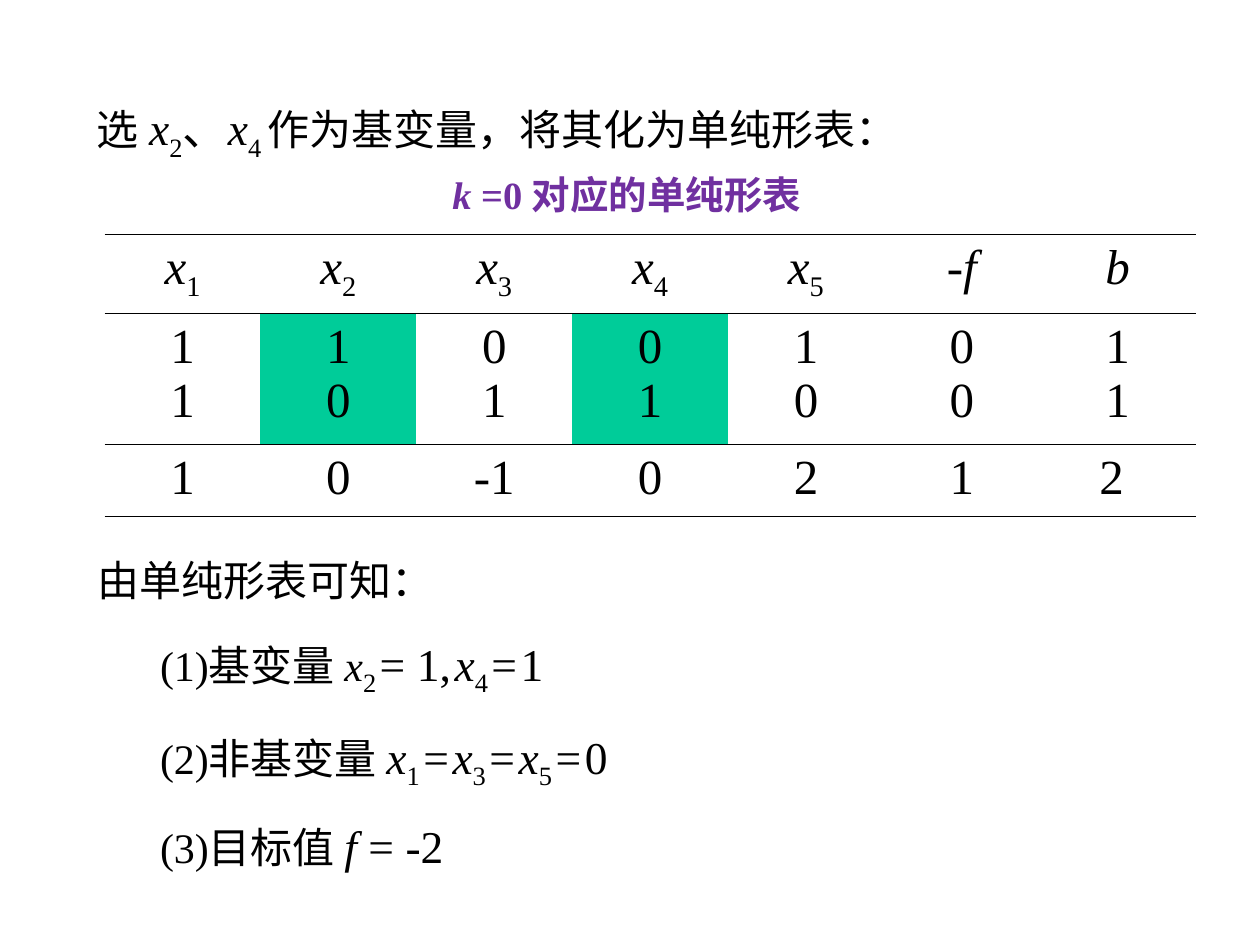
from dataclasses import dataclass

from lxml import etree
from pptx import Presentation
from pptx.dml.color import RGBColor
from pptx.enum.text import MSO_ANCHOR, MSO_AUTO_SIZE, PP_ALIGN
from pptx.oxml.ns import qn
from pptx.util import Inches, Pt

LEFT, CENTER, JUSTIFY = PP_ALIGN.LEFT, PP_ALIGN.CENTER, PP_ALIGN.JUSTIFY
TOP = MSO_ANCHOR.TOP
NO_AUTOFIT = MSO_AUTO_SIZE.NONE


@dataclass(frozen=True)
class Theme:
    font: str = "Times New Roman"
    ink: str = "000000"
    accent: str = "7030A0"
    basis: str = "00CC99"
    text: float = 24
    math: float = 26
    gap: float = 8
    caption: float = 22
    cell: float = 28
    rule: float = 0.45


class SlideBuilder:
    def __init__(self, slide, theme):
        self.slide = slide
        self.theme = theme

    def add_parts(self, paragraph, parts, size=None, color=None, bold=False):
        """Fill a paragraph from (text, role) parts."""
        theme = self.theme
        sizes = {"text": theme.text, "text var": theme.text, "gap": theme.gap}
        for text, role in parts:
            run = paragraph.add_run()
            run.text = text
            font = run.font
            font.name = theme.font
            font.size = Pt(size or sizes.get(role, theme.math))
            font.bold = bold
            font.italic = role.endswith("var")
            font.color.rgb = RGBColor.from_string(color or theme.ink)
            if role == "sub":
                font._element.set("baseline", "-25000")

    def place(self, shape, left, top, width, height, wrap=True):
        shape.left, shape.top = Inches(left), Inches(top)
        shape.width, shape.height = Inches(width), Inches(height)
        frame = shape.text_frame
        frame.word_wrap = wrap
        frame.auto_size = NO_AUTOFIT
        frame.vertical_anchor = TOP
        return frame

    def title(self, parts, box):
        frame = self.place(self.slide.shapes.title, *box, wrap=False)
        paragraph = frame.paragraphs[0]
        paragraph.alignment = LEFT
        self.add_parts(paragraph, parts, self.theme.caption, self.theme.accent, True)

    def text(self, parts, box, spacing):
        frame = self.place(self.slide.shapes.add_textbox(0, 0, 0, 0), *box)
        paragraph = frame.paragraphs[0]
        paragraph.alignment = JUSTIFY
        paragraph.line_spacing = spacing
        self.add_parts(paragraph, parts)

    def body(self, lines, box, spacing, indent):
        """First line is the lead-in; the others are indented below it."""
        frame = self.place(self.slide.placeholders[1], *box)
        for index, parts in enumerate(lines):
            paragraph = frame.add_paragraph() if index else frame.paragraphs[0]
            paragraph.alignment = JUSTIFY
            paragraph.line_spacing = spacing
            paragraph.space_before = Pt(0)
            properties = paragraph._p.get_or_add_pPr()
            properties.set("marL", str(Inches(indent if index else 0)))
            properties.set("indent", "0")
            etree.SubElement(properties, qn("a:buNone"))
            self.add_parts(paragraph, parts)

    def border(self, cell):
        """Horizontal rules only."""
        properties = cell._tc.get_or_add_tcPr()
        for side in ("L", "R", "T", "B"):
            line = etree.SubElement(properties, qn(f"a:ln{side}"))
            if side in "LR":
                etree.SubElement(line, qn("a:noFill"))
            else:
                line.set("w", str(Pt(self.theme.rule)))
                fill = etree.SubElement(line, qn("a:solidFill"))
                etree.SubElement(fill, qn("a:srgbClr"), val=self.theme.ink)

    def table(self, rows, left, top, width, heights, marked):
        """Each cell is a list of lines, each line a list of parts."""
        columns = len(rows[0])
        table = self.slide.shapes.add_table(
            len(rows), columns, Inches(left), Inches(top),
            Inches(width), Inches(sum(heights))).table
        table.first_row = table.horz_banding = False
        for column in table.columns:
            column.width = Inches(width / columns)
        for r, (cells, height) in enumerate(zip(rows, heights)):
            table.rows[r].height = Inches(height)
            for c, lines in enumerate(cells):
                cell = table.cell(r, c)
                self.border(cell)
                if (r, c) in marked:
                    cell.fill.solid()
                    cell.fill.fore_color.rgb = RGBColor.from_string(self.theme.basis)
                else:
                    cell.fill.background()
                frame = cell.text_frame
                for index, parts in enumerate(lines):
                    paragraph = frame.add_paragraph() if index else frame.paragraphs[0]
                    paragraph.alignment = CENTER
                    self.add_parts(paragraph, parts, self.theme.cell)


def x(number, role="var"):
    return [("x", role), (str(number), "sub")]


GAP = [(" ", "gap")]
EQUALS = GAP + [("=", "math")] + GAP


def main():
    deck = Presentation()
    deck.slide_width, deck.slide_height = Inches(10), Inches(7.5)
    slide = deck.slides.add_slide(deck.slide_layouts[1])
    builder = SlideBuilder(slide, Theme())

    # Introduction and table caption
    intro = ([("选", "text"), (" ", "math")] + x(2) + [("、", "math")] + x(4)
             + [(" ", "sub"), ("作为基变量，将其化为单纯形表：", "text")])
    builder.text(intro, (0.67, 0.6, 8.5, 0.75), 1.3)
    builder.title([("k ", "var"), ("=0 对应的单纯形表", "math")],
                  (3.49, 1.31, 3.04, 0.47))

    # Simplex tableau: variables, constraints, objective
    header = [[x(n)] for n in range(1, 6)] + [[[(name, "var")]] for name in ("-f", "b")]
    constraints = [[[(value, "math")] for value in column]
                   for column in zip("1100101", "1011001")]
    objective = [[[(value, "math")]] for value in ("1", "0", "-1", "0", "2", "1", "2 ")]
    builder.table([header, constraints, objective], 0.83, 1.86, 8.66,
                  (0.63, 1.04, 0.57), {(1, 1), (1, 3)})

    # Conclusions
    conclusions = [
        [("由单纯形表可知：", "text")],
        [("(1)基变量 ", "text")] + x(2, "text var") + GAP + [("= 1,", "math")] + GAP
        + x(4) + EQUALS + [("1", "math")],
        [("(2)非基变量 ", "text")] + x(1) + EQUALS + x(3) + EQUALS + x(5) + EQUALS
        + [("0", "math")],
        [("(3)目标值 ", "text"), ("f ", "var"), ("= -2", "math")],
    ]
    builder.body(conclusions, (0.67, 4.15, 8.5, 2.83), 1.5, 0.5)

    deck.save("out.pptx")


if __name__ == "__main__":
    main()
